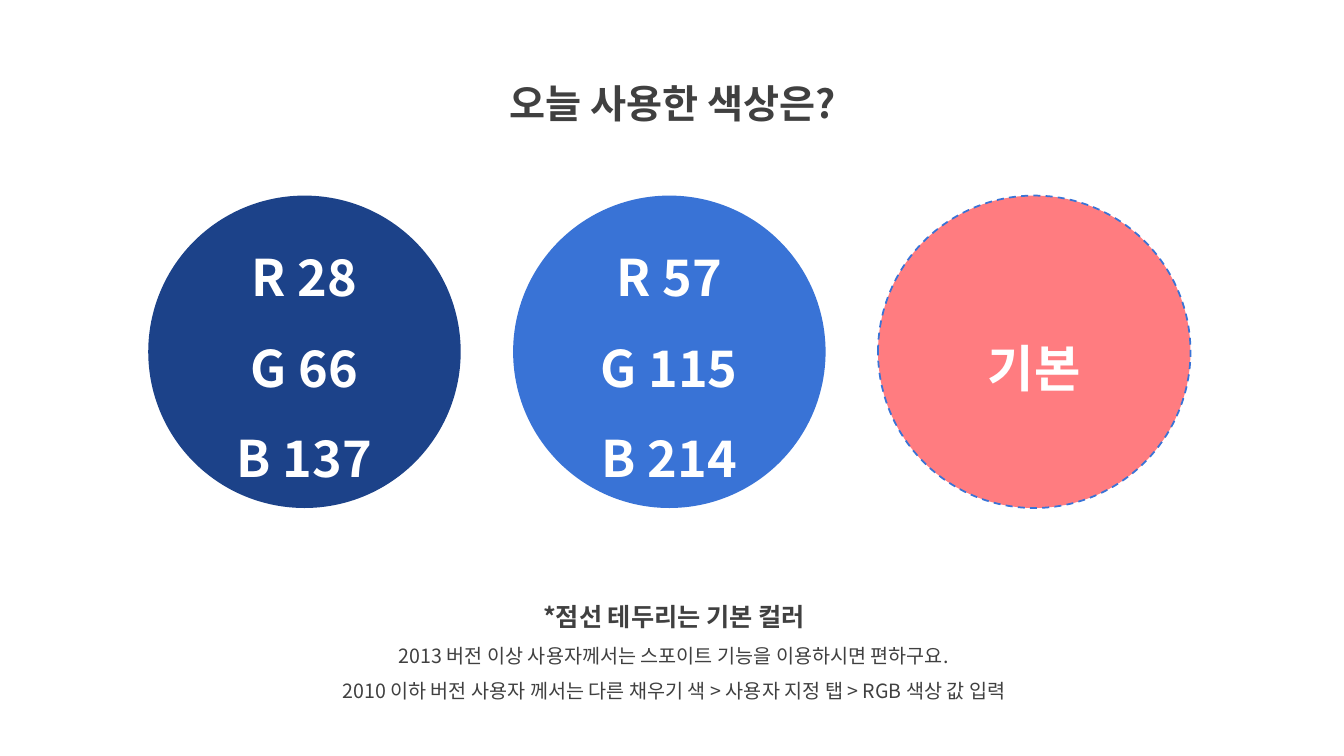
from lxml import etree
from pptx import Presentation
from pptx.dml.color import RGBColor
from pptx.enum.dml import MSO_LINE
from pptx.enum.shapes import MSO_SHAPE
from pptx.enum.text import MSO_ANCHOR, MSO_AUTO_SIZE, PP_ALIGN
from pptx.oxml.ns import qn
from pptx.util import Inches, Pt

OVAL = MSO_SHAPE.OVAL
DASH = MSO_LINE.DASH
CENTER = PP_ALIGN.CENTER
MIDDLE = MSO_ANCHOR.MIDDLE
FIT_SHAPE = MSO_AUTO_SIZE.SHAPE_TO_FIT_TEXT

NAVY = RGBColor(28, 66, 137)
BLUE = RGBColor(57, 115, 214)
CORAL = RGBColor(255, 124, 128)
GRAY = RGBColor(64, 64, 64)
WHITE = RGBColor(255, 255, 255)

FONT = "Noto Sans CJK KR"
LINE_SPACING = 1.5

# Shares of the slide's width or height, in percent
CIRCLE_LEFT, CIRCLE_STEP, CIRCLE_WIDTH = 11.03, 27.15, 23.25
CIRCLE_TOP, CIRCLE_HEIGHT = 25.87, 41.33

SWATCHES = [
    (NAVY, ["R 28", "G 66", "B 137"], None),
    (BLUE, ["R 57", "G 115", "B 214"], None),
    (CORAL, ["기본"], BLUE),
]


def write_line(para, text, size, color, bold=False):
    para.alignment = CENTER
    para.line_spacing = LINE_SPACING
    span = para.add_run()
    span.text = text
    font = span.font
    font.name, font.size, font.bold = FONT, Pt(size), bold
    font.color.rgb = color
    east_asian = etree.SubElement(span._r.get_or_add_rPr(), qn("a:ea"))
    east_asian.set("typeface", FONT)


def write_lines(frame, lines):
    """Fill a text frame from pairs of text and format."""
    for index, (text, style) in enumerate(lines):
        para = frame.add_paragraph() if index else frame.paragraphs[0]
        write_line(para, text, **style)


class SlideBuilder:
    def __init__(self, deck):
        self.width, self.height = deck.slide_width, deck.slide_height
        self.page = deck.slides.add_slide(deck.slide_layouts[6])
        self.heading = {"size": 28, "color": GRAY, "bold": True}
        self.subheading = {"size": 18, "color": GRAY, "bold": True}
        self.body = {"size": 14, "color": GRAY}
        self.label = {"size": 36, "color": WHITE, "bold": True}

    def area(self, left, top, width, height):
        """Turn percentages of the slide into lengths."""
        return (int(self.width * left / 100), int(self.height * top / 100),
                int(self.width * width / 100), int(self.height * height / 100))

    def text(self, lines, *shares):
        box = self.page.shapes.add_textbox(*self.area(*shares))
        box.text_frame.word_wrap = True
        box.text_frame.auto_size = FIT_SHAPE
        write_lines(box.text_frame, lines)

    def circle(self, labels, fill, outline, *shares):
        circle = self.page.shapes.add_shape(OVAL, *self.area(*shares))
        circle.shadow.inherit = False
        circle.fill.solid()
        circle.fill.fore_color.rgb = fill
        if outline is None:
            circle.line.fill.background()
        else:
            circle.line.color.rgb = outline
            circle.line.width = Pt(1.25)
            circle.line.dash_style = DASH
        circle.text_frame.vertical_anchor = MIDDLE
        write_lines(circle.text_frame, [(text, self.label) for text in labels])


def main():
    deck = Presentation()
    deck.slide_width, deck.slide_height = Inches(13.33), Inches(7.5)
    slide = SlideBuilder(deck)

    slide.text([("오늘 사용한 색상은?", slide.heading)], 32.7, 6.67, 34.73, 9.6)
    slide.text([
        ("*점선 테두리는 기본 컬러", slide.subheading),
        ("2013 버전 이상 사용자께서는 스포이트 기능을 이용하시면 편하구요.", slide.body),
        ("2010 이하 버전 사용자 께서는 다른 채우기 색 > 사용자 지정 탭 > RGB 색상 값 입력",
         slide.body),
    ], 20.18, 76.93, 59.93, 16.8)

    for column, (fill, labels, outline) in enumerate(SWATCHES):
        slide.circle(labels, fill, outline, CIRCLE_LEFT + column * CIRCLE_STEP,
                     CIRCLE_TOP, CIRCLE_WIDTH, CIRCLE_HEIGHT)

    deck.save("out.pptx")


if __name__ == "__main__":
    main()
